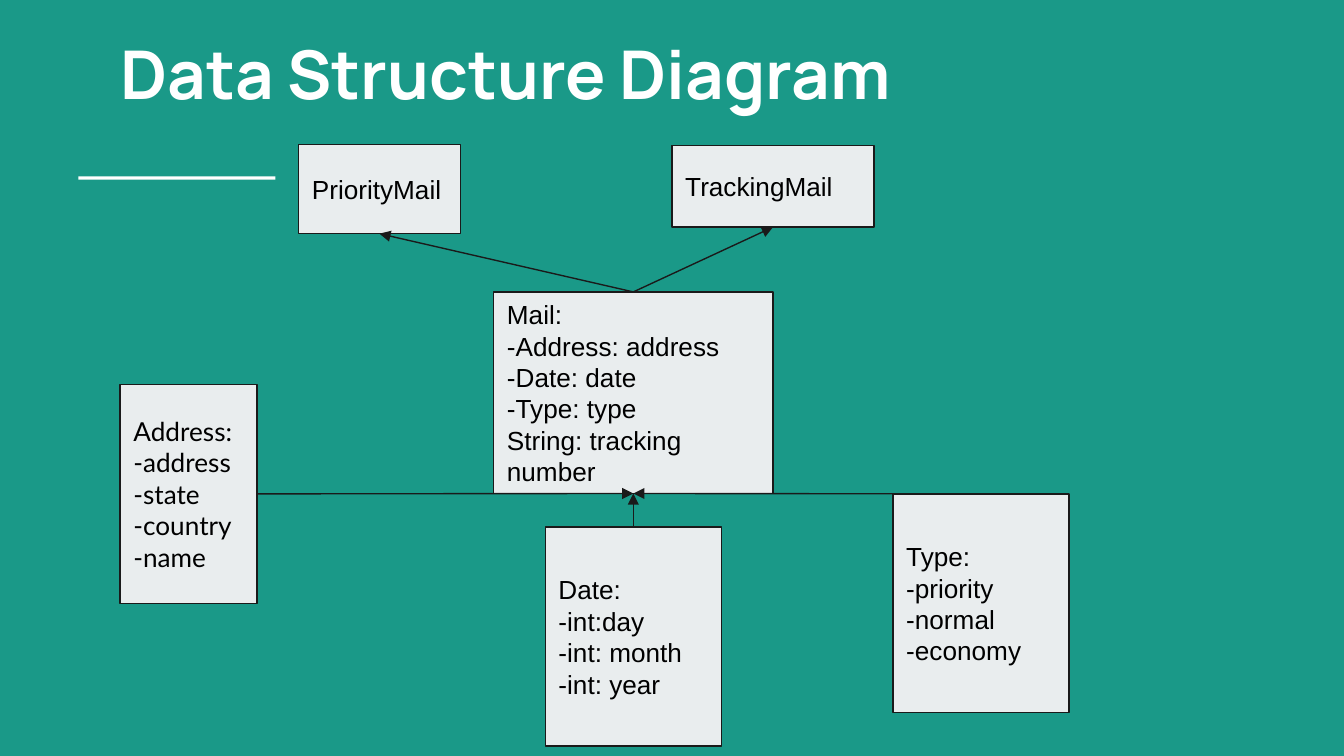
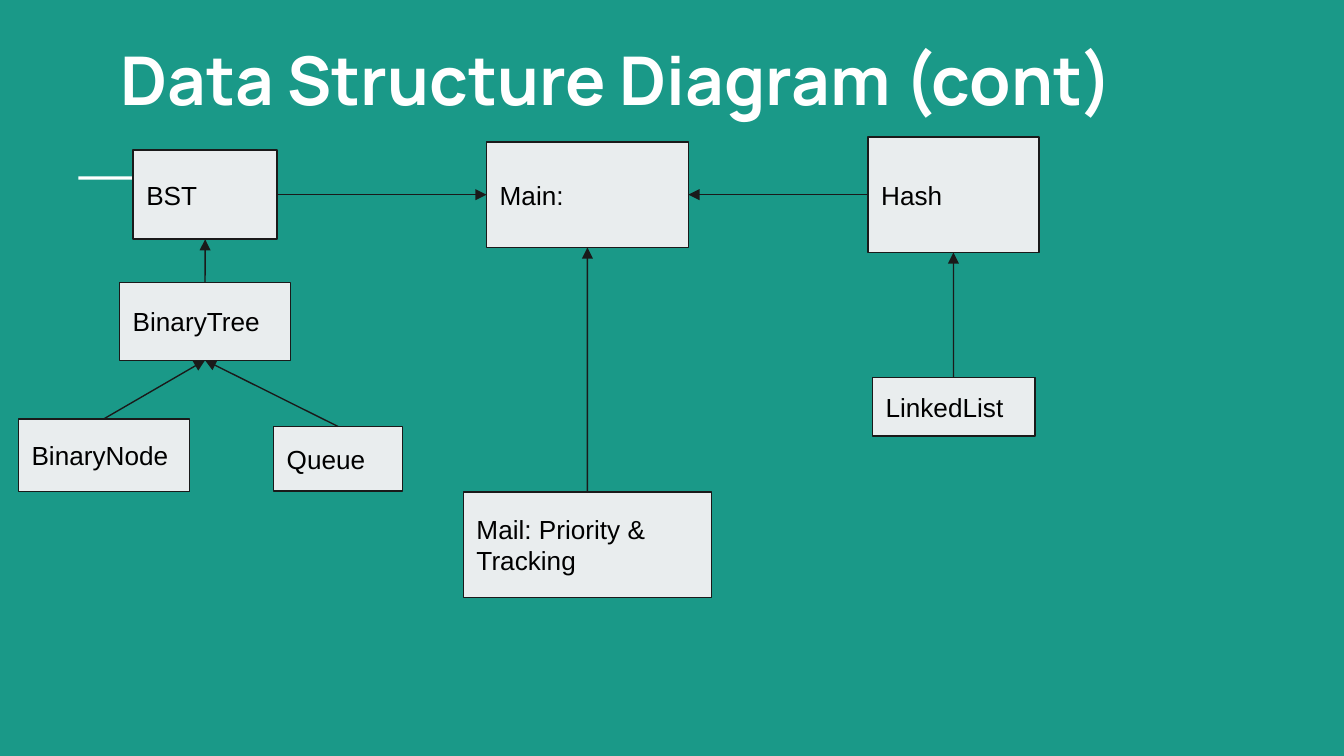
from lxml.etree import SubElement
from pptx import Presentation
from pptx.dml.color import RGBColor
from pptx.enum.shapes import MSO_CONNECTOR, MSO_SHAPE
from pptx.enum.text import MSO_ANCHOR, PP_ALIGN
from pptx.oxml.ns import qn
from pptx.util import Pt

COLORS = {
    "background": "1A9988",
    "white": "FFFFFF",
    "box": "E9EDEE",
    "line": "1A1A1A",
    "text": "000000",
}
TOP, LEFT, BOTTOM, RIGHT = range(4)


def color(name):
    return RGBColor.from_string(COLORS[name])


class Diagram:
    title_font = "Manrope"
    title_size = 36
    box_size = 14
    line_width = 0.75
    inset = 7.2

    def __init__(self, presentation):
        self.presentation = presentation
        self.slide = None

    def start_slide(self, title, title_top, title_height):
        self.slide = self.presentation.slides.add_slide(self.presentation.slide_layouts[6])
        background = self.slide.background.fill
        background.solid()
        background.fore_color.rgb = color("background")
        self.accent_bar()
        self.title(title, title_top, title_height)

    def accent_bar(self):
        bar = self.rectangle(42, 94.5, 105.5, 1.8, "white")
        bar.line.fill.background()

    def rectangle(self, left, top, width, height, fill):
        shape = self.slide.shapes.add_shape(
            MSO_SHAPE.RECTANGLE, Pt(left), Pt(top), Pt(width), Pt(height))
        shape.shadow.inherit = False
        shape.fill.solid()
        shape.fill.fore_color.rgb = color(fill)
        return shape

    def add_lines(self, shape, lines, font, size, text_color, spacing, anchor, bold=False):
        frame = shape.text_frame
        frame.word_wrap = True
        frame.vertical_anchor = anchor
        frame.margin_left = frame.margin_right = Pt(self.inset)
        frame.margin_top = frame.margin_bottom = Pt(self.inset)
        for index, line in enumerate(lines):
            paragraph = frame.add_paragraph() if index else frame.paragraphs[0]
            paragraph.alignment = PP_ALIGN.LEFT
            paragraph.line_spacing = spacing
            run = paragraph.add_run()
            run.text = line
            run.font.name = font
            run.font.size = Pt(size)
            run.font.bold = bold
            run.font.color.rgb = color(text_color)

    def title(self, text, top, height):
        shape = self.slide.shapes.add_textbox(Pt(57.6), Pt(top), Pt(605.5), Pt(height))
        self.add_lines(shape, [text], self.title_font, self.title_size, "white",
                       0.94, MSO_ANCHOR.TOP, bold=True)

    def box(self, left, top, width, height, *lines, font="Arial"):
        shape = self.rectangle(left, top, width, height, "box")
        shape.line.color.rgb = color("line")
        shape.line.width = Pt(self.line_width)
        self.add_lines(shape, lines, font, self.box_size, "text",
                       Pt(16.8), MSO_ANCHOR.MIDDLE)
        return shape

    def arrow(self, source, source_side, target, target_side):
        connector = self.slide.shapes.add_connector(
            MSO_CONNECTOR.STRAIGHT, Pt(0), Pt(0), Pt(0), Pt(0))
        connector.begin_connect(source, source_side)
        connector.end_connect(target, target_side)
        connector.line.color.rgb = color("line")
        connector.line.width = Pt(self.line_width)
        properties = connector._element.spPr
        SubElement(properties.find(qn("a:ln")), qn("a:tailEnd"), type="triangle")
        SubElement(properties, qn("a:effectLst"))


def build_mail_slide(diagram):
    diagram.start_slide("Data Structure Diagram", 13.7, 56)
    address = diagram.box(64.4, 206, 73.3, 117.2, "Address:", "-address", "-state",
                          "-country", "-name", font="Lato")
    mail = diagram.box(264.5, 156.4, 149.6, 108, "Mail:", "-Address: address",
                       "-Date: date", "-Type: type", "String: tracking number")
    date = diagram.box(292.1, 282.4, 94.4, 117.2, "Date:", "-int:day", "-int: month",
                       "-int: year")
    mail_type = diagram.box(478.4, 264.6, 94.4, 117.2, "Type:", "-priority", "-normal",
                            "-economy")
    priority = diagram.box(160, 77.4, 86.6, 47.8, "PriorityMail")
    tracking = diagram.box(360, 77.9, 108.2, 43.8, "TrackingMail")
    for part, side in ((date, TOP), (mail_type, TOP), (address, RIGHT)):
        diagram.arrow(part, side, mail, BOTTOM)
    for kind in (tracking, priority):
        diagram.arrow(mail, TOP, kind, BOTTOM)


def build_program_slide(diagram):
    diagram.start_slide("Data Structure Diagram (cont)", 16.7, 68.4)
    main_program = diagram.box(260.6, 76, 108.2, 56.6, "Main:")
    mail = diagram.box(248.2, 263.5, 132.9, 56.6, "Mail: Priority & Tracking")
    search_tree = diagram.box(71.3, 80.4, 77.2, 47.8, "BST")
    hash_table = diagram.box(465, 73.3, 91.6, 62, "Hash")
    binary_node = diagram.box(9.8, 224.4, 91.7, 38.8, "BinaryNode")
    binary_tree = diagram.box(64, 151.2, 91.7, 41.8, "BinaryTree")
    queue = diagram.box(146.5, 228.5, 69.2, 34.7, "Queue")
    linked_list = diagram.box(467.3, 202.4, 87.1, 31.3, "LinkedList")
    diagram.arrow(search_tree, RIGHT, main_program, LEFT)
    diagram.arrow(hash_table, LEFT, main_program, RIGHT)
    for source, target in (
        (mail, main_program),
        (binary_node, binary_tree),
        (queue, binary_tree),
        (binary_tree, search_tree),
        (linked_list, hash_table),
    ):
        diagram.arrow(source, TOP, target, BOTTOM)


def main():
    presentation = Presentation()
    presentation.slide_width = Pt(720)
    presentation.slide_height = Pt(405)
    diagram = Diagram(presentation)
    build_mail_slide(diagram)
    build_program_slide(diagram)
    presentation.save("out.pptx")


if __name__ == "__main__":
    main()
